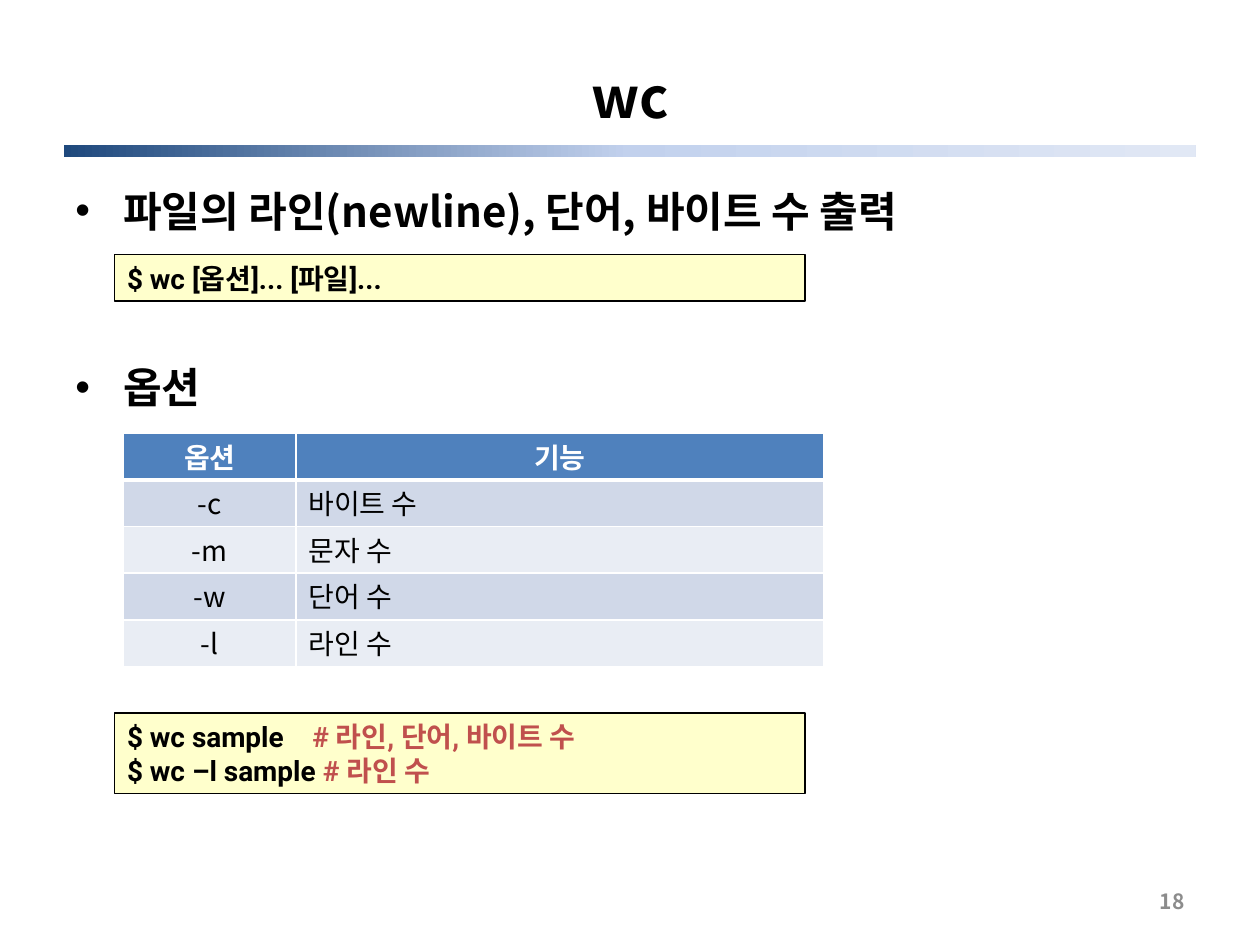
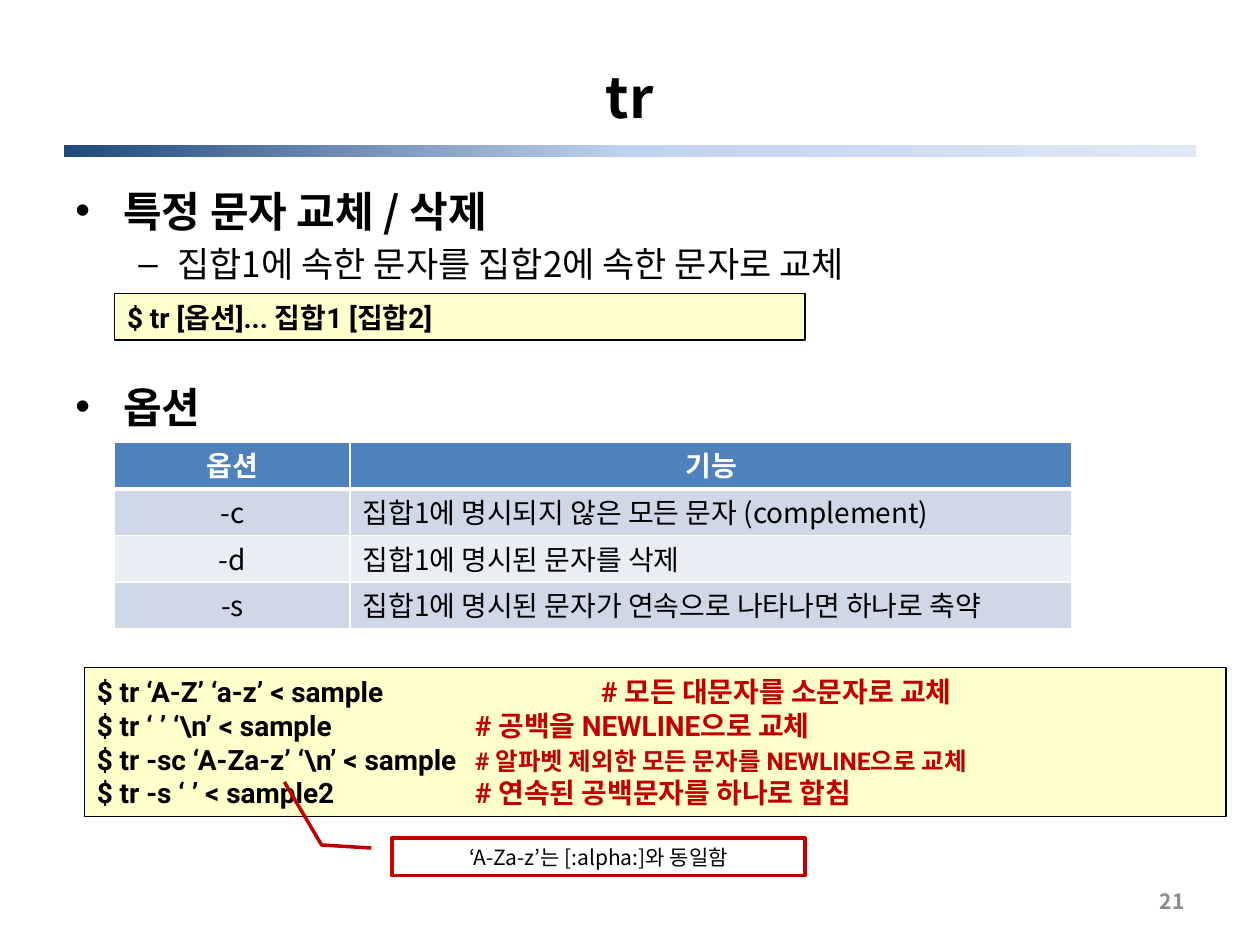
import copy

import pptx
import pptx.dml.color
import pptx.enum.shapes
import pptx.enum.text
import pptx.oxml
import pptx.oxml.ns
import pptx.util
from pptx.util import Inches

COLORS = {
    "ink": "000000", "white": "FFFFFF", "page_number": "8C8C8C",
    "code_fill": "FFFFCC", "comment_soft": "C0504D", "accent": "C00000",
    "header": "4F81BD", "band_odd": "D0D8E8", "band_even": "E9EDF4",
    "bar_start": "1F497D", "bar_middle": "C2D1ED", "bar_end": "E1E8F5",
}
BODY_FONT = "Noto Sans CJK KR"
CODE_FONT = "Roboto"
LINE_RATIO = 1.2
GAP_RATIO = 0.2
BULLETS = [("•", 24, True, 0.38, -0.38), ("–", 20, False, 0.81, -0.31)]
ALIGN = pptx.enum.text.PP_ALIGN
MIDDLE = pptx.enum.text.MSO_ANCHOR.MIDDLE
SHAPES = pptx.enum.shapes.MSO_SHAPE


def rgb(name):
    return pptx.dml.color.RGBColor.from_string(COLORS[name])


def add_xml(parent, tag, **attributes):
    child = pptx.oxml.parse_xml(f"<a:{tag} {pptx.oxml.ns.nsdecls('a')}/>")
    for key, value in attributes.items():
        child.set(key, str(value))
    parent.append(child)
    return child


class Deck:
    def __init__(self):
        self.presentation = pptx.Presentation()
        self.presentation.slide_width = Inches(10)
        self.presentation.slide_height = Inches(7.5)
        self.slide = None

    def start(self, title, number):
        self.slide = self.presentation.slides.add_slide(self.presentation.slide_layouts[6])
        self.bar()
        self.label(title, (0.5, 0.3, 9, 0.93), 32, "ink", ALIGN.CENTER)
        self.label(number, (7.17, 6.95, 2.33, 0.4), 12, "page_number", ALIGN.RIGHT)

    def bar(self):
        bar = self.box(SHAPES.RECTANGLE, (0.51, 1.15, 8.98, 0.1), "white")
        bar.fill.gradient()
        bar.fill.gradient_angle = 0
        first = bar._element.spPr.find(".//" + pptx.oxml.ns.qn("a:gs"))
        first.addnext(copy.deepcopy(first))
        stops = zip(bar.fill.gradient_stops, ("bar_start", "bar_middle", "bar_end"), (0, 0.5, 1))
        for stop, color, position in stops:
            stop.color.rgb = rgb(color)
            stop.position = position

    def box(self, preset, place, fill, line=None, weight=0.75):
        shape = self.slide.shapes.add_shape(preset, *map(Inches, place))
        shape.shadow.inherit = False
        shape.fill.solid()
        shape.fill.fore_color.rgb = rgb(fill)
        if line:
            shape.line.color.rgb = rgb(line)
            shape.line.width = pptx.util.Pt(weight)
        else:
            shape.line.fill.background()
        return shape

    def text_frame(self, place):
        frame = self.slide.shapes.add_textbox(*map(Inches, place)).text_frame
        frame.word_wrap = True
        return frame

    def style(self, run, size, color="ink", bold=False, font=BODY_FONT):
        run.font.size = pptx.util.Pt(size)
        run.font.bold = bold
        run.font.name = font
        run.font.color.rgb = rgb(color)
        add_xml(run._r.get_or_add_rPr(), "ea", typeface=BODY_FONT)

    def label(self, text, place, size, color, align):
        frame = self.text_frame(place)
        frame.vertical_anchor = MIDDLE
        frame.text = text
        frame.paragraphs[0].alignment = align
        self.style(frame.paragraphs[0].runs[0], size, color, True)

    def outline(self, items):
        frame = self.text_frame((0.5, 1.42, 9, 5.28))
        for index, (level, text, skipped_sizes) in enumerate(items):
            paragraph = frame.add_paragraph() if index else frame.paragraphs[0]
            mark, size, bold, margin, indent = BULLETS[level]
            paragraph.text = text
            paragraph.level = level
            paragraph.line_spacing = pptx.util.Pt(size * LINE_RATIO)
            gap = size * GAP_RATIO + sum(skipped_sizes) * (LINE_RATIO + GAP_RATIO)
            paragraph.space_before = pptx.util.Pt(gap if index else 0)
            properties = paragraph._p.get_or_add_pPr()
            properties.set("marL", str(Inches(margin)))
            properties.set("indent", str(Inches(indent)))
            add_xml(properties, "buFont", typeface="Arial")
            add_xml(properties, "buChar", char=mark)
            self.style(paragraph.runs[0], size, bold=bold)

    def code(self, place, lines, comment_color="accent"):
        frame = self.box(SHAPES.RECTANGLE, place, "code_fill", "ink").text_frame
        frame.word_wrap = True
        frame.vertical_anchor = MIDDLE
        for index, (command, comment, tab, comment_size) in enumerate(lines):
            paragraph = frame.add_paragraph() if index else frame.paragraphs[0]
            paragraph.alignment = ALIGN.LEFT
            paragraph.line_spacing = pptx.util.Pt(16 * LINE_RATIO)
            if tab:
                tabs = add_xml(paragraph._p.get_or_add_pPr(), "tabLst")
                add_xml(tabs, "tab", pos=Inches(tab), algn="l")
            parts = [(command + ("\t" if tab else ""), 16, "ink")]
            if comment:
                parts.append((comment, comment_size, comment_color))
            for text, size, color in parts:
                run = paragraph.add_run()
                run.text = text
                self.style(run, size, color, True, CODE_FONT)

    def border(self, cell, side, weight):
        line = add_xml(cell._tc.get_or_add_tcPr(), side, w=pptx.util.Pt(weight))
        add_xml(add_xml(line, "solidFill"), "srgbClr", val=COLORS["white"])

    def options(self, place, widths, options):
        rows = [("옵션", "기능"), *options]
        table = self.slide.shapes.add_table(len(rows), 2, *map(Inches, place)).table
        for column, width in zip(table.columns, widths):
            column.width = Inches(width)
        for row_index, row in enumerate(rows):
            table.rows[row_index].height = Inches(0.37)
            header = row_index == 0
            fill = "header" if header else ("band_even", "band_odd")[row_index % 2]
            for column_index, text in enumerate(row):
                cell = table.cell(row_index, column_index)
                cell.text = text
                cell.vertical_anchor = MIDDLE
                cell.margin_top, cell.margin_bottom = Inches(0.07), Inches(0.03)
                paragraph = cell.text_frame.paragraphs[0]
                centered = header or column_index == 0
                paragraph.alignment = ALIGN.CENTER if centered else ALIGN.LEFT
                paragraph.line_spacing = pptx.util.Pt(16 * LINE_RATIO)
                self.style(paragraph.runs[0], 16, "white" if header else "ink", header)
                self.border(cell, "lnL", 1)
                self.border(cell, "lnR", 1)
                self.border(cell, "lnT", 3 if row_index == 1 else 1)
                self.border(cell, "lnB", 3 if header else 1)
                cell.fill.solid()
                cell.fill.fore_color.rgb = rgb(fill)

    def callout(self, place, text, leader):
        note = self.box(SHAPES.LINE_CALLOUT_2, place, "white", "accent", 2)
        for index, value in enumerate(leader):
            note.adjustments[index] = value
        frame = note.text_frame
        frame.margin_top = frame.margin_bottom = 0
        frame.vertical_anchor = MIDDLE
        frame.text = text
        frame.paragraphs[0].alignment = ALIGN.CENTER
        self.style(frame.paragraphs[0].runs[0], 12)


def build_wc(deck):
    deck.start("wc", "18")
    deck.outline([
        (0, "파일의 라인(newline), 단어, 바이트 수 출력", []),
        (0, "옵션", [24, 24]),
    ])
    deck.code((0.91, 2.02, 5.48, 0.37), [("$ wc [옵션]... [파일]...", None, None, 16)])
    deck.options((0.98, 3.44, 5.56, 1.85), (1.37, 4.19), [
        ("-c", "바이트 수"), ("-m", "문자 수"), ("-w", "단어 수"), ("-l", "라인 수"),
    ])
    deck.code((0.91, 5.66, 5.48, 0.64), [
        ("$ wc sample", "# 라인, 단어, 바이트 수", 1.47, 16),
        ("$ wc –l sample ", "# 라인 수", None, 16),
    ], "comment_soft")


def build_tr(deck):
    deck.start("tr", "21")
    deck.outline([
        (0, "특정 문자 교체 / 삭제", []),
        (1, "집합1에 속한 문자를 집합2에 속한 문자로 교체", []),
        (0, "옵션", [18, 18]),
    ])
    deck.code((0.91, 2.33, 5.48, 0.37), [("$ tr [옵션]... 집합1 [집합2]", None, None, 16)])
    deck.code((0.67, 5.3, 9.06, 1.18), [
        ("$ tr ‘A-Z’ ‘a-z’ < sample", "# 모든 대문자를 소문자로 교체", 4, 16),
        ("$ tr ‘ ’ ‘\\n’ < sample", "# 공백을 NEWLINE으로 교체", 3, 16),
        ("$ tr -sc ‘A-Za-z’ ‘\\n’ < sample", "# 알파벳 제외한 모든 문자를 NEWLINE으로 교체", 3, 14),
        ("$ tr -s ‘ ’ < sample2", "# 연속된 공백문자를 하나로 합침", 3, 16),
    ])
    deck.options((0.91, 3.51, 7.6, 1.48), (1.87, 5.73), [
        ("-c", "집합1에 명시되지 않은 모든 문자 (complement)"),
        ("-d", "집합1에 명시된 문자를 삭제"),
        ("-s", "집합1에 명시된 문자가 연속으로 나타나면 하나로 축약"),
    ])
    deck.callout((3.11, 6.65, 3.28, 0.3), "‘A-Za-z’는 [:alpha:]와 동일함",
                 (0.27, -0.05, 0.19, -0.17, -1.48, -0.26))


def main():
    deck = Deck()
    build_wc(deck)
    build_tr(deck)
    deck.presentation.save("out.pptx")


if __name__ == "__main__":
    main()
